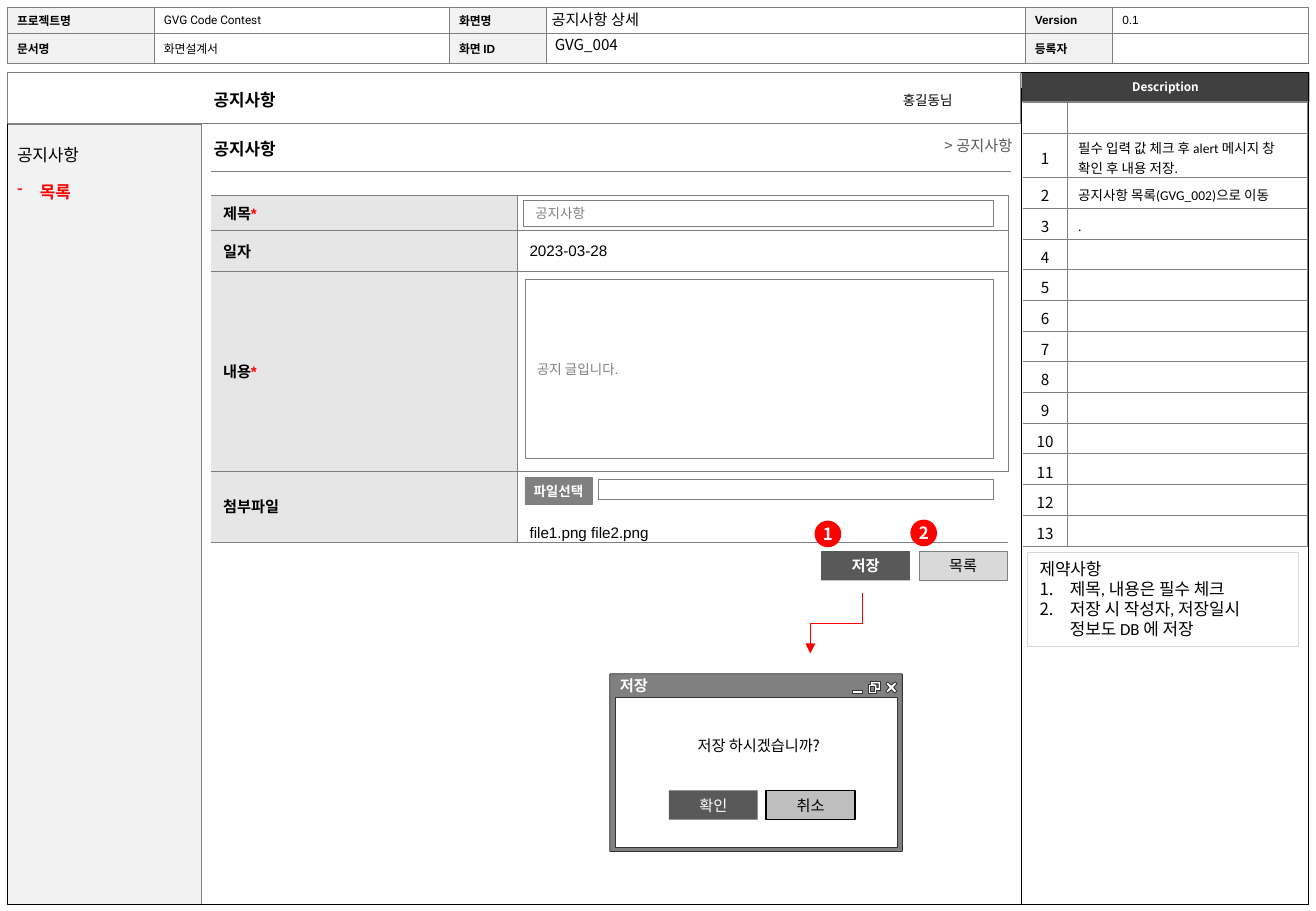
from lxml import etree
from pptx import Presentation
from pptx.dml.color import RGBColor
from pptx.enum.shapes import MSO_CONNECTOR, MSO_SHAPE
from pptx.enum.text import MSO_ANCHOR, PP_ALIGN
from pptx.oxml.ns import qn
from pptx.util import Pt

RECT, OVAL, ROUND = MSO_SHAPE.RECTANGLE, MSO_SHAPE.OVAL, MSO_SHAPE.ROUNDED_RECTANGLE
STRAIGHT, ELBOW = MSO_CONNECTOR.STRAIGHT, MSO_CONNECTOR.ELBOW
LEFT, MID, RIGHT = PP_ALIGN.LEFT, PP_ALIGN.CENTER, PP_ALIGN.RIGHT
TOP, CENTER, BOTTOM = MSO_ANCHOR.TOP, MSO_ANCHOR.MIDDLE, MSO_ANCHOR.BOTTOM
HANGUL = "Noto Sans CJK KR"
BLACK, WHITE, GRAY, DARK, RED = "000000", "FFFFFF", "808080", "595959", "FF0000"
PALE, EDGE = "F2F2F2", "333333"
PAD = (7.2, 3.6, 7.2, 3.6)


def rgb(code):
    return RGBColor.from_string(code)


def sub(node, tag, **attrs):
    return etree.SubElement(node, qn(tag), **attrs)


class Page:
    def __init__(self, slide):
        self.slide = slide
        self.shapes = slide.shapes

    def style(self, run, size=9, color=BLACK, bold=False, font=HANGUL):
        run.font.size = Pt(size)
        run.font.bold = bold
        run.font.color.rgb = rgb(color)
        run.font.name = font
        sub(run.font._element, "a:ea", typeface=HANGUL)

    def words(self, frame, text, align=LEFT, space=None, **look):
        frame.text = text
        for par in frame.paragraphs:
            par.alignment = align
            if space:
                par.line_spacing = space
            for run in par.runs:
                self.style(run, **look)

    def pad(self, item, pad):
        item.margin_left, item.margin_top, item.margin_right, item.margin_bottom = map(Pt, pad)

    def bullet(self, par, indent, tag, **attrs):
        props = par._p.get_or_add_pPr()
        props.set("marL", str(Pt(indent)))
        props.set("indent", str(-Pt(indent)))
        sub(props, tag, **attrs)

    def paint(self, shape, fill, line, width):
        shape.shadow.inherit = False
        if fill:
            shape.fill.solid()
            shape.fill.fore_color.rgb = rgb(fill)
        else:
            shape.fill.background()
        if line:
            shape.line.color.rgb = rgb(line)
            shape.line.width = Pt(width)
        else:
            shape.line.fill.background()

    def box(self, at, text="", fill=None, line=None, width=0.25, kind=RECT,
            pad=PAD, anchor=CENTER, align=MID, **look):
        shape = self.shapes.add_shape(kind, *map(Pt, at))
        self.paint(shape, fill, line, width)
        if text:
            frame = shape.text_frame
            frame.word_wrap = True
            frame.vertical_anchor = anchor
            self.pad(frame, pad)
            self.words(frame, text, align, **look)
        return shape

    def label(self, at, text, pad=PAD, wrap=False, **look):
        frame = self.shapes.add_textbox(*map(Pt, at)).text_frame
        frame.word_wrap = wrap
        self.pad(frame, pad)
        self.words(frame, text, **look)

    def link(self, kind, ends, color, width=0.5):
        line = self.shapes.add_connector(kind, *map(Pt, ends))
        line.line.color.rgb = rgb(color)
        line.line.width = Pt(width)
        sub(line._element.spPr, "a:effectLst")
        return line

    def icon(self, *rings):
        pen = None
        for ring in rings:
            first, *rest = [(Pt(x), Pt(y)) for x, y in ring]
            if pen is None:
                pen = self.shapes.build_freeform(*first)
            else:
                pen.move_to(*first)
            pen.add_line_segments(rest, close=True)
        self.paint(pen.convert_to_shape(), WHITE, EDGE, 0.5)

    def table(self, x, y, cols, rows):
        grid = self.shapes.add_table(len(rows), len(cols), Pt(x), Pt(y),
                                     Pt(sum(cols)), Pt(sum(rows))).table
        grid.first_row = grid.horz_banding = False
        for col, size in zip(grid.columns, cols):
            col.width = Pt(size)
        for row, size in zip(grid.rows, rows):
            row.height = Pt(size)
        return grid

    def cell(self, cell, text="", sides="LRTB", fill=None, pad=PAD, anchor=CENTER, **look):
        cell.vertical_anchor = anchor
        self.pad(cell, pad)
        self.words(cell.text_frame, text, **look)
        if not text:
            sub(cell.text_frame.paragraphs[0]._p, "a:endParaRPr", sz="700")
        props = cell._tc.get_or_add_tcPr()
        for side in "LRTB":
            edge = sub(props, "a:ln" + side, w=str(Pt(0.25)))
            if side in sides:
                sub(sub(edge, "a:solidFill"), "a:srgbClr", val=GRAY)
            else:
                sub(edge, "a:noFill")
        if fill:
            cell.fill.solid()
            cell.fill.fore_color.rgb = rgb(fill)
        else:
            cell.fill.background()


deck = Presentation()
deck.slide_width, deck.slide_height = Pt(780), Pt(540)
page = Page(deck.slides.add_slide(deck.slide_layouts[6]))

# Page frame
page.box((4.3, 73.5, 115, 462.5), fill=PALE, line=GRAY, width=0.75)
page.box((605.5, 43, 170.6, 17.3), "Description", fill="404040", size=7, color=WHITE,
         bold=True, pad=(3, 0, 3, 0))
page.link(STRAIGHT, (605.5, 52, 605.5, 536.4), BLACK)
page.box((4.3, 43, 771.2, 493.3), line=BLACK, width=0.75)

# Document header
heads = [["프로젝트명", "GVG Code Contest", "화면명", "", "Version", "0.1"],
         ["문서명", "화면설계서", "화면 ID", "", "등록자", ""]]
grid = page.table(4.3, 4, [87.1, 175, 57.6, 283.7, 51.8, 116], [15.8, 17.8])
for r, row in enumerate(heads):
    for c, text in enumerate(row):
        key = c % 2 == 0
        page.cell(grid.cell(r, c), text, fill=PALE if key else WHITE, size=7, bold=key,
                  font="Roboto" if c == 1 else "Arial", pad=(5.8, 1.4, 5.8, 1.4))
page.box((4.3, 43, 600.7, 30.4), line=GRAY, width=0.75)
page.label((525, 51, 46.8, 17.3), "홍길동님", size=8, font="Calibri", align=RIGHT)

# Description list
notes = ["", "필수 입력 값 체크 후 alert 메시지 창 확인 후 내용 저장.",
         "공지사항 목록(GVG_002)으로 이동", "."] + [""] * 10
grid = page.table(606.2, 60.5, [26.4, 142.3], [18.2, 26.4] + [18.2] * 12)
for r, text in enumerate(notes):
    page.cell(grid.cell(r, 0), str(r) if r else "", "RTB", WHITE, (3.6, 3, 3.6, 0), align=MID)
    page.cell(grid.cell(r, 1), text, "LRTB", WHITE, (6.5, 2.6, 6.5, 0),
              size=8, font="Calibri", space=Pt(11.7))

# Titles
page.label((327, 3.3, 57, 14), "공지사항 상세", pad=(0, 0, 0, 0), font="Roboto", space=1.25)
page.label((321.8, 17.3, 52.6, 18), "GVG_004")
for y in (47.4, 76.2):
    page.label((126.7, y, 131.8, 16), "공지사항", pad=(0, 0, 0, 0), wrap=True,
               size=10, bold=True, font="Noto Sans", space=1.5)
page.label((543.6, 77.5, 63.4, 18), "> 공지사항", color=DARK, align=RIGHT)
page.link(STRAIGHT, (125.3, 101.5, 599, 101.5), GRAY)

# Notice form
form = [("제목", ""), ("일자", "2023-03-28"), ("내용", ""), ("첨부파일", "file1.png file2.png")]
grid = page.table(125, 115.8, [181.7, 291], [20.8, 24, 118.5, 42.1])
for r, (name, text) in enumerate(form):
    last = r == 3
    key = grid.cell(r, 0)
    page.cell(key, name, "RTB", "E7E6E6", bold=True, font="Arial")
    if not text:
        star = key.text_frame.paragraphs[0].add_run()
        star.text = "*"
        page.style(star, color=RED, bold=True, font="Arial")
    page.cell(grid.cell(r, 1), text, "LTB" if last else "LRTB", font="Arial",
              pad=(7.2, 3, 7.2, 0 if last else 2), anchor=BOTTOM if last else CENTER)
hint = dict(fill=WHITE, line=GRAY, align=LEFT, size=8, color=GRAY, font="Calibri")
page.box((310.2, 118.7, 278.8, 15.6), "공지사항", **hint)
page.box((311.2, 165.5, 277.7, 106.3), "공지 글입니다.", **hint)
page.box((354.6, 284, 234.3, 12), fill=WHITE, line=GRAY)
pick = page.box((311.2, 283, 39.8, 16), "파일선택", fill=GRAY, line=GRAY, kind=ROUND,
                pad=(2, 0.7, 2, 0.7), size=8, color=WHITE, bold=True)
pick.adjustments[0] = 0

# Form buttons and markers
page.box((486.8, 326.7, 52.6, 17.4), "저장", fill=DARK, color=WHITE, bold=True, font="Arial")
page.box((544.6, 326.7, 52.6, 17.4), "목록", fill="D9D9D9", line=GRAY, font="Arial")
for text, x, y in (("1", 482.8, 308.6), ("2", 539.6, 308)):
    page.box((x, y, 15.8, 15.8), text, fill=RED, kind=OVAL, pad=(0, 0, 0, 0),
             size=10, color=WHITE, bold=True)

# Save dialog
pane = page.box((361.4, 399.4, 173.5, 105.4), "저장", fill=GRAY, line=EDGE, width=0.5,
                kind=ROUND, pad=(5.8, 1.4, 5.8, 2), anchor=TOP, align=LEFT,
                color=WHITE, bold=True)
pane.adjustments[0] = 0.006
page.box((364.6, 413.4, 167.2, 88.8), fill=WHITE, line=EDGE, width=0.5)
cross, arm = [], [(0, -1.4), (2.2, -3.3), (3.3, -2.2)]
for turn in range(4):
    cross += [(528.3 + x, 407.5 + y) for x, y in arm]
    arm = [(-y, x) for x, y in arm]
page.icon(cross)
page.icon([(516.2, 404), (522, 404), (522, 409), (519.8, 409), (519.8, 411), (514.8, 411),
           (514.8, 405.6), (516.2, 405.6)],
          [(517.7, 405.4), (520.6, 405.4), (520.6, 407.6), (519.8, 407.6), (519.8, 405.6)],
          [(516.2, 407), (518.4, 407), (518.4, 409.6), (516.2, 409.6)])
page.icon([(505, 409.2), (511, 409.2), (511, 411), (505, 411)])
page.label((365.8, 433, 167.8, 18), "저장 하시겠습니까?", wrap=True, align=MID)
page.box((396.5, 468.5, 52.6, 17.4), "확인", fill=DARK, color=WHITE)
page.box((454.1, 468.5, 52.6, 17.4), "취소", fill="BFBFBF", line=BLACK, width=1)

# Arrow from the save button to the dialog
arrow = page.link(ELBOW, (477.8, 353.8, 513.8, 384.8), RED)
arrow._element.spPr.find(qn("a:xfrm")).set("rot", "5400000")
sub(arrow.line._get_or_add_ln(), "a:tailEnd", type="triangle")

# Side menu
menu = page.table(4.3, 74.2, [114.5], [42]).cell(0, 0)
page.cell(menu, "공지사항\n목록", "", pad=(5.8, 2.9, 2.9, 2.9), size=10, font="Calibri", space=1.5)
item = menu.text_frame.paragraphs[1]
item.runs[0].font.color.rgb = rgb(RED)
item.runs[0].font.bold = True
page.bullet(item, 13.5, "a:buChar", char="-")

# Constraints
rules = page.box((609.1, 327.6, 160.6, 55.6),
                 "제약사항\n제목, 내용은 필수 체크\n저장 시 작성자, 저장일시 정보도 DB 에 저장",
                 line="D9D9D9", width=0.75, anchor=TOP, align=LEFT, size=10,
                 font="Calibri", space=Pt(11.9))
for par in rules.text_frame.paragraphs[1:]:
    page.bullet(par, 18, "a:buAutoNum", type="arabicPeriod")

deck.save("out.pptx")
